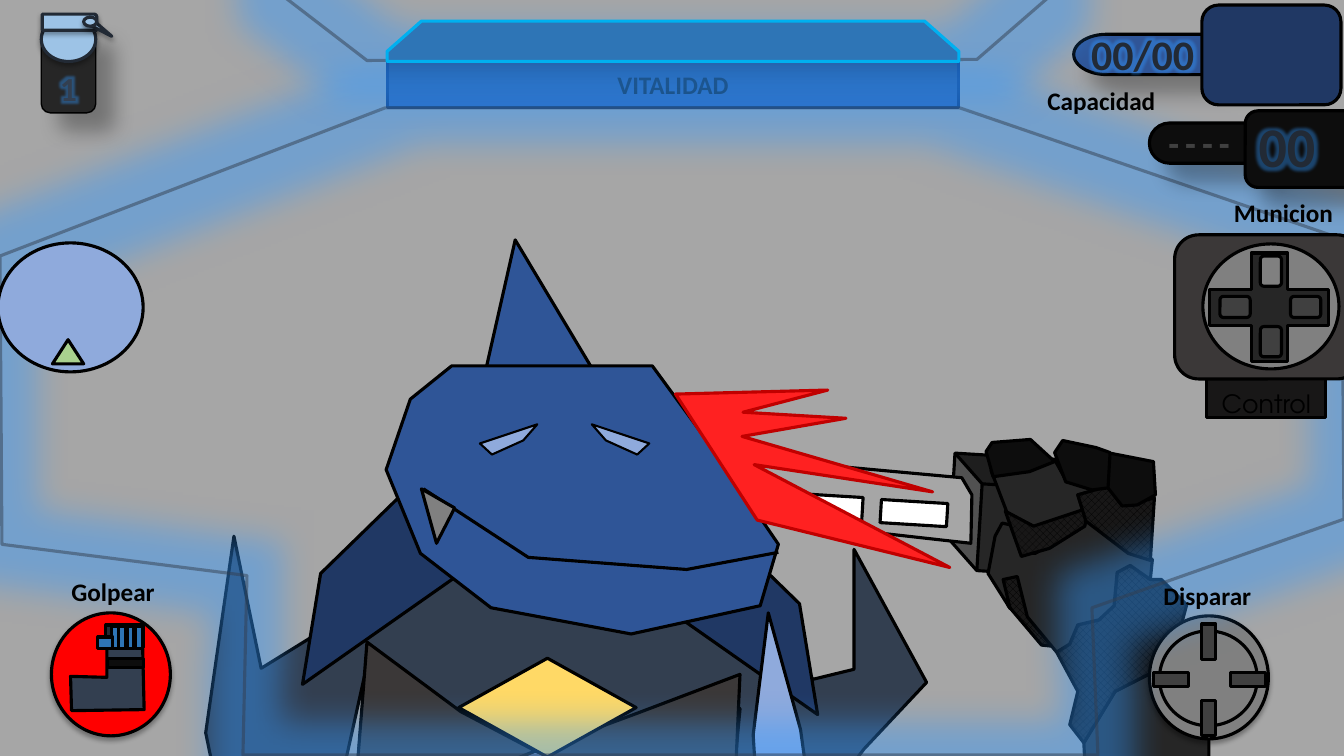
from dataclasses import dataclass
from itertools import chain
from typing import Optional, Union

from lxml import etree
from pptx import Presentation
from pptx.dml.color import RGBColor
from pptx.enum.dml import MSO_PATTERN
from pptx.enum.shapes import MSO_SHAPE
from pptx.enum.text import MSO_ANCHOR, PP_ALIGN
from pptx.oxml.ns import qn
from pptx.util import Pt

PX = 9144  # 100 px to the inch
RECT, ROUND, OVAL = MSO_SHAPE.RECTANGLE, MSO_SHAPE.ROUNDED_RECTANGLE, MSO_SHAPE.OVAL
CUBE, CAP = MSO_SHAPE.CUBE, MSO_SHAPE.ROUND_1_RECTANGLE
PILL, TRIANGLE = MSO_SHAPE.FLOWCHART_TERMINATOR, MSO_SHAPE.FLOWCHART_EXTRACT
LEFT, CENTER = PP_ALIGN.LEFT, PP_ALIGN.CENTER
MIDDLE, TOP = MSO_ANCHOR.MIDDLE, MSO_ANCHOR.TOP
BLACK, WHITE, RED = RGBColor(0, 0, 0), RGBColor(255, 255, 255), RGBColor(255, 0, 0)
BACKDROP, GREY = RGBColor(0xA6, 0xA6, 0xA6), RGBColor(0x80, 0x80, 0x80)
IRON, CHARCOAL = RGBColor(0x40, 0x40, 0x40), RGBColor(0x26, 0x26, 0x26)
COAL, SOOT, BROWN = RGBColor(13, 13, 13), RGBColor(0x18, 0x17, 0x17), RGBColor(0x3B, 0x38, 0x38)
SLATE, DARK_SLATE = RGBColor(0x33, 0x3F, 0x50), RGBColor(0x22, 0x2A, 0x35)
BLUE, NAVY = RGBColor(0x2F, 0x55, 0x97), RGBColor(0x20, 0x38, 0x64)
LILAC, SKY = RGBColor(0x8F, 0xAA, 0xDC), RGBColor(0x9D, 0xC3, 0xE6)
AZURE, CYAN = RGBColor(0x2E, 0x75, 0xB6), RGBColor(0x00, 0xB0, 0xF0)
BAR_TOP, BAR_BOTTOM = RGBColor(0x18, 0x31, 0x5E), RGBColor(0x28, 0x52, 0x9E)
BAR_LINE, GLOW = RGBColor(0x00, 0x20, 0x60), RGBColor(0x33, 0x99, 0xFF)
GOLD, GREEN = RGBColor(0xFF, 0xD9, 0x66), RGBColor(0xA9, 0xD1, 0x8E)
FLAME, BLOOD = RGBColor(0xFF, 0x21, 0x21), RGBColor(0xC0, 0, 0)
Point = tuple[int, int]


@dataclass(frozen=True)
class Text:
    words: str
    size: int = 18
    color: RGBColor = BLACK
    font: str = "Calibri"
    bold: bool = True
    align: PP_ALIGN = CENTER
    anchor: MSO_ANCHOR = MIDDLE
    wrap: bool = True
    inset_top: int = 5
    glow: int = 0


@dataclass(frozen=True)
class Look:
    """A pair of fill colours is a weave, or a fade from top to bottom."""
    fill: Union[RGBColor, tuple[str, RGBColor, RGBColor], None] = None
    line: RGBColor = BLACK
    width: float = 2.25
    line_alpha: int = 100
    shadow: Optional[tuple[int, float, float, int]] = None  # alpha, blur, distance, angle
    glow: int = 0


@dataclass(frozen=True)
class Box:
    kind: Optional[MSO_SHAPE]  # None makes a text box
    at: tuple[int, int, int, int]
    look: Look = Look()
    text: Optional[Text] = None
    rot: float = 0


@dataclass(frozen=True)
class Poly:
    look: Look
    points: list[Point]
    closed: bool = True


def mirror(points: list[Point], axis2: int, dy: int = 0) -> list[Point]:
    """Reflect left to right; axis2 is twice the x of the axis."""
    return [(axis2 - x, y + dy) for x, y in points]


def diamond(cx: int, cy: int, half_w: int, half_h: int) -> list[Point]:
    return [(cx - half_w, cy), (cx, cy + half_h), (cx + half_w, cy), (cx, cy - half_h)]


def cross(cx: int, cy: int, reach_x: int, reach_y: int, half: int) -> list[Point]:
    quarter = [(half, reach_y), (half, half), (reach_x, half)]
    turns = [(1, 1, 1), (1, -1, -1), (-1, -1, 1), (-1, 1, -1)]
    return [(cx + sx * x, cy + sy * y) for sx, sy, step in turns for x, y in quarter[::step]]


def spikes(root: Point, tips: list[Point], notches: list[Point]) -> list[Point]:
    """Alternate tips and notches, the last notch being the lower root."""
    return [root, *chain.from_iterable(zip(tips, notches))]


def spokes(kind: MSO_SHAPE, cx: int, cy: int, reach: int, wide: int, long: int,
           looks: list[Look]) -> list[Box]:
    """Four equal bars round a centre: up, down, right, left."""
    boxes = []
    for (dx, dy), look in zip([(0, -1), (0, 1), (1, 0), (-1, 0)], looks):
        w, h = (long, wide) if dx else (wide, long)
        boxes.append(Box(kind, (cx + dx * reach - w // 2, cy + dy * reach - h // 2, w, h), look))
    return boxes


SOFT, LONG = (32, 3.5, 2.2, 90), (30, 15, 18, 45)
ARMOUR, GLOVE, KNUCKLE, STEEL = Look(SLATE), Look(CHARCOAL), Look(COAL), Look(GREY)
SKIN, COLLAR, PLATE, BUTTON = Look(BLUE), Look(NAVY), Look(BROWN), Look(IRON)
FABRIC, FINGER, EYE = Look(("weave", BLACK, SOOT)), Look(AZURE), Look(LILAC, width=1.5)
VISOR = Look(line=SLATE, line_alpha=50, glow=48)
GRENADE = Look(SKY, DARK_SLATE, shadow=SOFT)

# Edges that two neighbouring parts share
CUFF_EDGE = [(1141, 575), (1121, 561), (1108, 568), (1105, 601), (1090, 615), (1069, 620),
             (1061, 639), (1048, 647)]
CUFF_HEM = [(1151, 663), (1106, 686), (1075, 737)]
CHEST_TIP = (531, 745)

horn = Poly(SKIN, [(475, 397), (511, 238), (615, 412), (460, 416)])

pistol_grip = Box(CUBE, (985, 414, 115, 198), GLOVE, rot=273.5)
pistol_barrel = Poly(Look(BACKDROP), [(964, 491), (954, 474), (714, 452), (668, 467),
                                      (722, 512), (963, 539)])
barrel_vents = [Box(RECT, (x, y, 23, 66), Look(WHITE), rot=273.5)
                for x, y in [(895, 476), (811, 470)]]
palm = Poly(GLOVE, [(1046, 456), (1025, 466), (983, 467), (999, 509), (1029, 524),
                    (1074, 507), (1069, 491), (1098, 483), (1058, 478)])
thumb = Poly(FABRIC, [(1000, 601), (1033, 640), (1052, 642), (1023, 607), (1020, 567),
                      (992, 562)])
forearm = Poly(GLOVE, CUFF_HEM + [(1076, 757), (1150, 899), (1199, 834), (1199, 723),
                                  (1194, 695), (1177, 665)])
cuff = Poly(FABRIC, CUFF_HEM + [(1061, 719), (1069, 686)] + CUFF_EDGE[::-1]
            + [(1152, 575), (1177, 600), (1166, 641)])
hand_back = Poly(GLOVE, [(1085, 511), (1114, 543), (1143, 555)] + CUFF_EDGE
                 + [(1019, 612), (1009, 572), (995, 575), (1002, 604), (980, 569), (987, 532),
                    (994, 519), (1003, 521), (1012, 548), (1027, 549)])
knuckle_band = Poly(FABRIC, [(997, 507), (1013, 552), (1041, 544), (1076, 522), (1079, 504),
                             (1025, 522)])
knuckle_pad = Poly(FABRIC, [(1069, 491), (1100, 482), (1118, 501), (1145, 494), (1141, 556),
                            (1119, 549), (1077, 517)])
fingertips = [Poly(KNUCKLE, tip) for tip in (
    [(1098, 449), (1098, 483), (1113, 502), (1128, 501), (1146, 491), (1144, 458)],
    [(1046, 449), (1054, 437), (1087, 444), (1101, 449), (1099, 484), (1083, 486), (1057, 478)],
    [(1046, 458), (1022, 436), (984, 439), (978, 448), (985, 473), (1021, 468)])]

body = Poly(ARMOUR, [(308, 1091), (696, 1104), (734, 703), (656, 850), (749, 884), (857, 743),
                     (919, 677), (847, 545), (847, 664), (806, 674), (744, 553), (620, 513),
                     (404, 505), (314, 629), (259, 663), (232, 532), (204, 727), (234, 873),
                     (315, 880), (363, 664), (345, 867)])
left_collar = [(396, 493), (318, 569), (300, 679), (461, 566)]
collars = [Poly(COLLAR, side) for side in (mirror(left_collar, 1111, dy=30), left_collar)]
belt = Poly(Look(LILAC), [(359, 817), CHEST_TIP, (723, 822), (644, 872), (524, 811), (414, 864)])
chest_plates = [Poly(PLATE, [CHEST_TIP, *rest]) for rest in (
    [(631, 708), (734, 669), (727, 824)], [(457, 706), (364, 637), (350, 817)])]
gem = Poly(Look(GOLD), diamond(543, 702, 88, 49))
head = Poly(SKIN, [(383, 466), (417, 549), (487, 603), (626, 629), (754, 601), (772, 540),
                   (707, 445), (647, 363), (448, 363), (407, 396)])
left_eye = [(476, 440), (533, 421), (519, 437), (488, 451)]
eyes = [Poly(EYE, side) for side in (mirror(left_eye, 1120), left_eye)]
mouth = Poly(Look(), [(420, 485), (524, 553), (681, 565), (772, 548)], closed=False)
tail_spike = Poly(Look(LILAC), [(753, 825), (747, 729), (762, 608), (794, 724), (806, 811),
                                (791, 840)])
fang = Poly(STEEL, [(418, 485), (433, 539), (451, 504)])

sight_disc, punch_disc = [Box(OVAL, (x, y, 118, 122), Look(color, shadow=SOFT))
                          for x, y, color in [(1140, 611, GREY), (51, 608, RED)]]
health_bar = Box(RECT, (384, 60, 567, 47), Look(("fade", BAR_TOP, BAR_BOTTOM), BAR_LINE),
                 Text("VITALIDAD"))
visor_rim = Poly(VISOR, [(382, 107), (952, 107), (1331, 237), (1333, 515), (1083, 603),
                         (1089, 749), (241, 749), (245, 571), (2, 540), (0, 254)])
visor_struts = Poly(VISOR, [(269, -13), (364, 60), (969, 59), (1045, -7)], closed=False)
half_roof = [(384, 61), (384, 51), (418, 21)]
bar_roof = Poly(Look(AZURE, CYAN), half_roof + mirror(half_roof, 1335)[::-1])
flame = Poly(Look(FLAME, BLOOD), spikes(
    (670, 391), tips=[(821, 387), (839, 415), (925, 488), (942, 563)],
    notches=[(737, 409), (736, 433), (748, 461), (751, 516)]))
radar = [Box(OVAL, (-2, 241, 144, 128), Look(LILAC)),
         Box(TRIANGLE, (52, 337, 31, 24), Look(GREEN))]
control_pad = [
    Box(RECT, (1197, 355, 118, 59), Look(SOOT),
        Text("Control", font="TeX Gyre Adventor", bold=False, inset_top=36)),
    Box(ROUND, (1165, 233, 185, 143), PLATE), Box(OVAL, (1193, 242, 135, 124), STEEL),
    Poly(GLOVE, cross(1259, 305, 59, 54, 18)),
    *spokes(ROUND, 1260, 304, 35, 21, 30, [STEEL, BUTTON, BUTTON, BUTTON])]
charge_pill = Box(PILL, (1065, 34, 204, 40), Look(BLUE, shadow=LONG))
grenade_can = Box(ROUND, (41, 25, 54, 87), Look(CHARCOAL, width=1, shadow=LONG),
                  Text("1", 24, SLATE, inset_top=42, glow=10))
grenade_top = [Box(OVAL, (41, 17, 54, 44), GRENADE), Box(CAP, (42, 14, 54, 16), GRENADE),
               Poly(GRENADE, [(85, 23), (89, 17), (111, 36)]), Box(OVAL, (83, 17, 13, 9), GRENADE)]
crosshair = [Box(OVAL, (1150, 626, 97, 94)), *spokes(RECT, 1199, 674, 38, 14, 35, [BUTTON] * 4)]
fist = [Poly(ARMOUR, [(70, 671), (71, 705), (143, 704), (141, 620), (106, 621), (106, 672)]),
        Box(RECT, (105, 620, 37, 22), Look(DARK_SLATE)), Box(RECT, (107, 653, 35, 9), KNUCKLE),
        *(Box(RECT, (111 + 23 * i // 3, 621, 7, 22), FINGER) for i in range(4)),
        Box(RECT, (97, 632, 15, 11), FINGER)]
captions = [Box(None, (x, y, 130, 40), text=Text(words, align=LEFT, anchor=TOP, wrap=False))
            for words, x, y in [("Disparar", 1144, 571), ("Golpear", 61, 567),
                                ("Capacidad", 1029, 80), ("Municion", 1214, 191)]]
ammo = [Box(ROUND, (1192, 5, 138, 99), COLLAR),
        Box(PILL, (1140, 122, 126, 40), Look(COAL, shadow=LONG),
            Text("----", 20, IRON, "DejaVu Sans Mono", align=LEFT)),
        Box(ROUND, (1235, 110, 291, 76), Look(COAL, shadow=LONG)),
        Box(None, (1067, 23, 133, 61), text=Text("00/00", 30, DARK_SLATE, anchor=TOP, glow=10)),
        Box(None, (1238, 106, 77, 77),
            text=Text("00", 40, DARK_SLATE, anchor=TOP, wrap=False, glow=10))]

arm = [pistol_grip, palm, thumb, forearm, cuff, hand_back, knuckle_band, knuckle_pad,
       *fingertips, pistol_barrel, *barrel_vents]
creature = [body, *collars, belt, *chest_plates, gem, head, *eyes, mouth, tail_spike, fang]
# From back to front; a list inside becomes a group
SCENE = [horn, arm, creature, sight_disc, health_bar, visor_rim, *control_pad[:2], *radar,
         *control_pad[2:], charge_pill, grenade_can, punch_disc, crosshair, fist, *captions,
         grenade_top, *ammo, visor_struts, bar_roof, flame]


def add_effect(effects, tag: str, color: RGBColor, alpha: int, **attrs) -> None:
    effect = etree.SubElement(effects, qn(tag), {k: str(v) for k, v in attrs.items()})
    clr = etree.SubElement(effect, qn("a:srgbClr"), val=str(color))
    etree.SubElement(clr, qn("a:alpha"), val=str(alpha * 1000))


def paint(sp, look: Look) -> None:
    fill, spPr = sp.fill, sp._element.spPr
    if look.fill is None:
        fill.background()
    elif isinstance(look.fill, RGBColor):
        fill.solid()
        fill.fore_color.rgb = look.fill
    elif look.fill[0] == "weave":
        fill.patterned()
        fill.pattern = MSO_PATTERN.PERCENT_50
        fill.fore_color.rgb, fill.back_color.rgb = look.fill[1:]
    else:
        fill.gradient()
        fill.gradient_angle = 270
        for stop, color in zip(fill.gradient_stops, look.fill[1:]):
            stop.color.rgb = color
    sp.line.color.rgb, sp.line.width = look.line, Pt(look.width)
    if look.line_alpha < 100:
        clr = spPr.find(qn("a:ln")).find(".//" + qn("a:srgbClr"))
        etree.SubElement(clr, qn("a:alpha"), val=str(look.line_alpha * 1000))
    sp.shadow.inherit = False
    effects = spPr.find(qn("a:effectLst"))
    if look.glow:
        add_effect(effects, "a:glow", GLOW, 43, rad=Pt(look.glow))
    if look.shadow:
        alpha, blur, dist, angle = look.shadow
        add_effect(effects, "a:outerShdw", BLACK, alpha, blurRad=Pt(blur), dist=Pt(dist),
                   dir=angle * 60000, algn="t", rotWithShape=0)


def write(sp, text: Text) -> None:
    tf = sp.text_frame
    p = tf.paragraphs[0]
    r = p.add_run()
    r.text, p.alignment, r.font.color.rgb = text.words, text.align, text.color
    for target, formats in (
            (tf, {"word_wrap": text.wrap, "vertical_anchor": text.anchor,
                  "margin_top": text.inset_top * PX}),
            (r.font, {"name": text.font, "size": Pt(text.size), "bold": text.bold})):
        for name, value in formats.items():
            setattr(target, name, value)
    if text.glow:
        effects = etree.Element(qn("a:effectLst"))
        add_effect(effects, "a:glow", GLOW, 40, rad=Pt(text.glow))
        r._r.rPr.find(qn("a:solidFill")).addnext(effects)


def draw(shapes, item: Union[Box, Poly, list]) -> None:
    if isinstance(item, list):
        group = shapes.add_group_shape()
        for part in item:
            draw(group.shapes, part)
    elif isinstance(item, Poly):
        outline = shapes.build_freeform(*item.points[0], scale=PX)
        outline.add_line_segments(item.points[1:], close=item.closed)
        paint(outline.convert_to_shape(), item.look)
    else:
        at = [v * PX for v in item.at]
        if item.kind is None:
            sp = shapes.add_textbox(*at)
        else:
            sp = shapes.add_shape(item.kind, *at)
            sp.rotation = item.rot
            paint(sp, item.look)
        if item.text:
            write(sp, item.text)


def main() -> None:
    prs = Presentation()
    prs.slide_width, prs.slide_height = 1333 * PX, 750 * PX
    s = prs.slides.add_slide(prs.slide_layouts[6])
    s.background.fill.solid()
    s.background.fill.fore_color.rgb = BACKDROP
    for item in SCENE:
        draw(s.shapes, item)
    prs.save("out.pptx")


if __name__ == "__main__":
    main()
